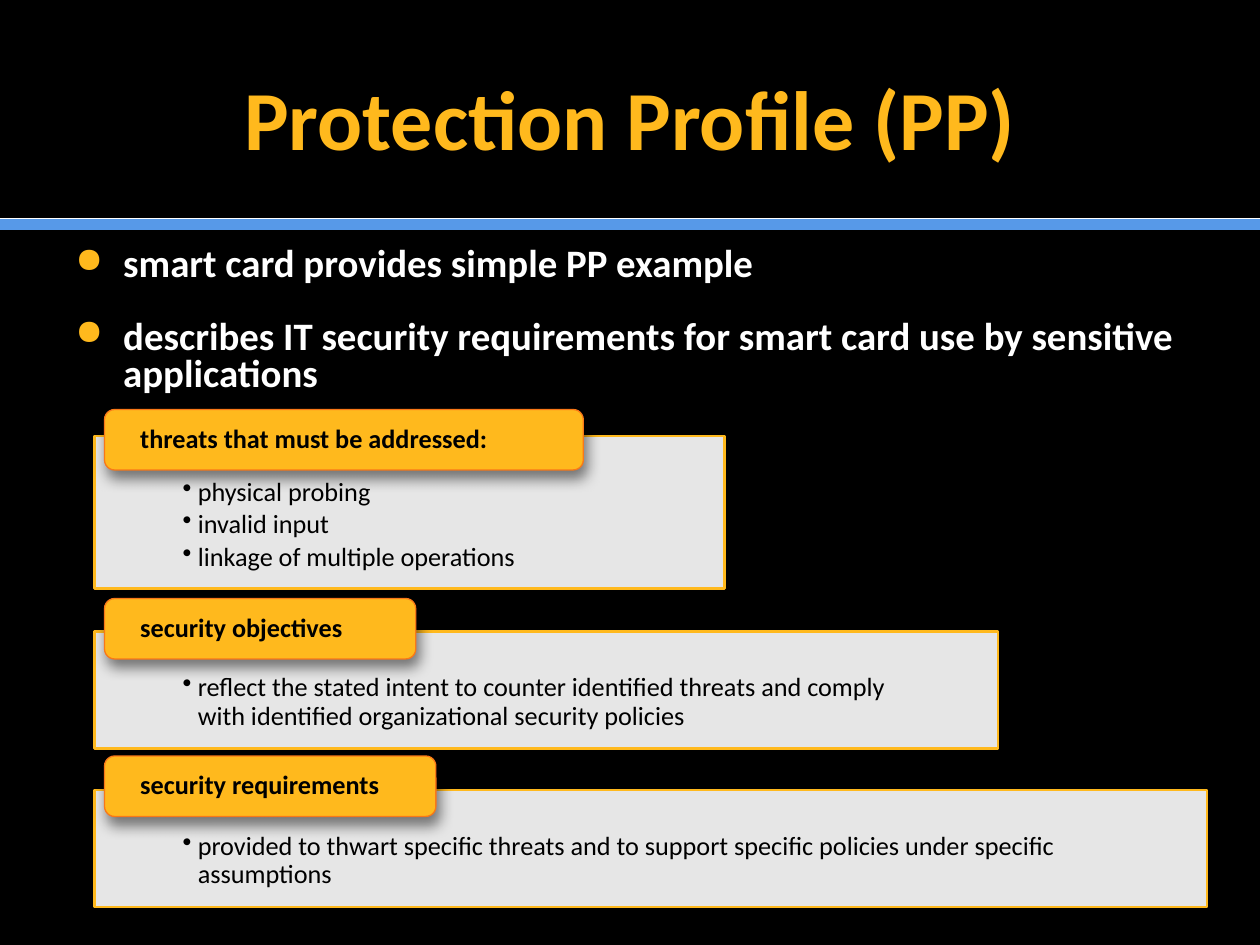
from dataclasses import dataclass
from typing import Any

from lxml import etree
from pptx import Presentation
from pptx import util as u
from pptx.dml.color import RGBColor
from pptx.enum import shapes, text
from pptx.oxml import ns

GOLD, WHITE, BLACK = "FFB91D", "FFFFFF", "000000"


def rgb(value):
    """Turn a hex string into a colour."""
    return RGBColor.from_string(value)


def add_xml(parent, tag, **attrs):
    """Append a drawing element and return it."""
    return etree.SubElement(parent, ns.qn(tag), {k: str(v) for k, v in attrs.items()})


@dataclass
class Deck:
    """Draws styled elements on a slide with a grid of 100 columns and 75 rows."""

    prs: Any
    s: Any = None
    font: str = "Calibri"

    def cols(self, n):
        """Return the width of n columns."""
        return round(self.prs.slide_width * n / 100)

    def rows(self, n):
        """Return the height of n rows."""
        return round(self.prs.slide_height * n / 75)

    def area(self, x, y, w, h):
        """Return a grid area as slide lengths."""
        return self.cols(x), self.rows(y), self.cols(w), self.rows(h)

    def new_slide(self, color):
        """Add a blank slide with a plain background."""
        self.s = self.prs.slides.add_slide(self.prs.slide_layouts[6])
        self.s.background.fill.solid()
        self.s.background.fill.fore_color.rgb = rgb(color)

    def rule(self, y, color, width):
        """Draw a line across the slide."""
        y = self.rows(y)
        line = self.s.shapes.add_connector(
            shapes.MSO_CONNECTOR.STRAIGHT, 0, y, self.prs.slide_width, y)
        line.line.color.rgb = rgb(color)
        line.line.width = u.Pt(width)
        add_xml(line._element.spPr, "a:effectLst")

    def bullet(self, p, char, indent, color=None, size=None):
        """Give a paragraph a bullet and a hanging indent."""
        pPr = p._p.get_or_add_pPr()
        pPr.set("marL", str(self.cols(indent)))
        pPr.set("indent", str(-self.cols(indent)))
        if color:
            add_xml(add_xml(pPr, "a:buClr"), "a:srgbClr", val=color)
        if size:
            add_xml(pPr, "a:buSzPct", val=size * 1000)
        add_xml(pPr, "a:buChar", char=char)

    def fill_text(self, sp, lines, size, color, bold=False, align=text.PP_ALIGN.LEFT,
                  anchor=text.MSO_ANCHOR.TOP, insets=(1, 0.5, 1, 0.5),
                  spacing=1, before=0, after=0, bullet=None):
        """Fill a shape with formatted paragraphs."""
        tf = sp.text_frame
        tf.word_wrap = True
        tf.vertical_anchor = anchor
        tf.margin_left, tf.margin_right = self.cols(insets[0]), self.cols(insets[2])
        tf.margin_top, tf.margin_bottom = self.rows(insets[1]), self.rows(insets[3])
        tf.text = "\n".join(lines)
        for i, p in enumerate(tf.paragraphs):
            p.alignment = align
            p.line_spacing = spacing
            p.space_before = u.Pt(before if i else 0)
            p.space_after = u.Pt(after)
            if bullet:
                self.bullet(p, **bullet)
            for r in p.runs:
                r.font.name, r.font.size, r.font.bold = self.font, u.Pt(size), bold
                r.font.color.rgb = rgb(color)

    def textbox(self, area, lines, **style):
        """Add a text box."""
        self.fill_text(self.s.shapes.add_textbox(*self.area(*area)), lines, **style)

    def box(self, kind, area, fill, line, width):
        """Add a filled and outlined shape."""
        sp = self.s.shapes.add_shape(kind, *self.area(*area))
        sp.shadow.inherit = False
        sp.fill.solid()
        sp.fill.fore_color.rgb = rgb(fill)
        sp.line.color.rgb = rgb(line)
        sp.line.width = u.Pt(width)
        return sp

    def panel(self, y, w, h, lines):
        """Add a translucent panel with bulleted details."""
        sp = self.box(shapes.MSO_SHAPE.RECTANGLE, (7.5, y, w, h), WHITE, GOLD, 1.5)
        color = sp._element.spPr.find(ns.qn("a:solidFill"))[0]
        add_xml(color, "a:alpha", val=90000)
        self.fill_text(sp, lines, 15, BLACK, insets=(7, 3.4, 7, 1.2), spacing=0.9,
                       after=2.25, bullet={"char": "•", "indent": 1.2})

    def badge(self, y, w, label):
        """Add a rounded heading with a soft shadow."""
        sp = self.box(shapes.MSO_SHAPE.ROUNDED_RECTANGLE, (8.3, y, w, 4.8),
                      GOLD, "F97817", 0.75)
        effects = sp._element.spPr.find(ns.qn("a:effectLst"))
        shadow = add_xml(effects, "a:outerShdw", blurRad=u.Pt(8), dist=u.Pt(5),
                         dir=70 * 60000, rotWithShape=0)
        add_xml(add_xml(shadow, "a:srgbClr", val=BLACK), "a:alpha", val=50000)
        self.fill_text(sp, [label], 15, BLACK, bold=True, anchor=text.MSO_ANCHOR.MIDDLE,
                       insets=(2.6, 0, 2.4, 0), spacing=0.9)


def main():
    """Build the slide and save it."""
    prs = Presentation()
    prs.slide_width, prs.slide_height = u.Inches(10), u.Inches(7.5)
    deck = Deck(prs)
    deck.new_slide(BLACK)
    deck.rule(17.8, "5799E8", 7)
    deck.rule(17.3, WHITE, 0.5)
    deck.textbox((5, 3, 90, 12.5), ["Protection Profile (PP)"], size=48, color=GOLD,
                 bold=True, align=text.PP_ALIGN.CENTER, anchor=text.MSO_ANCHOR.MIDDLE)
    deck.textbox(
        (5, 19.2, 90, 13.3),
        ["smart card provides simple PP example",
         "describes IT security requirements for smart card use by sensitive applications"],
        size=22.2, color=WHITE, bold=True, spacing=0.8, before=20,
        bullet={"char": "●", "indent": 3.8, "color": GOLD, "size": 90})
    sections = [
        ("threats that must be addressed:", 32.5, 38, 34.6, 50, 12.1,
         ["physical probing", "invalid input", "linkage of multiple operations"]),
        ("security objectives", 47.5, 24.7, 50.1, 71.7, 9.3,
         ["reflect the stated intent to counter identified threats and comply "
          "with identified organizational security policies"]),
        ("security requirements", 60, 26.3, 62.7, 88.3, 9.3,
         ["provided to thwart specific threats and to support specific policies "
          "under specific assumptions"]),
    ]
    for label, badge_y, badge_w, y, w, h, details in sections:
        deck.panel(y, w, h, details)
        deck.badge(badge_y, badge_w, label)
    prs.save("out.pptx")


if __name__ == "__main__":
    main()
